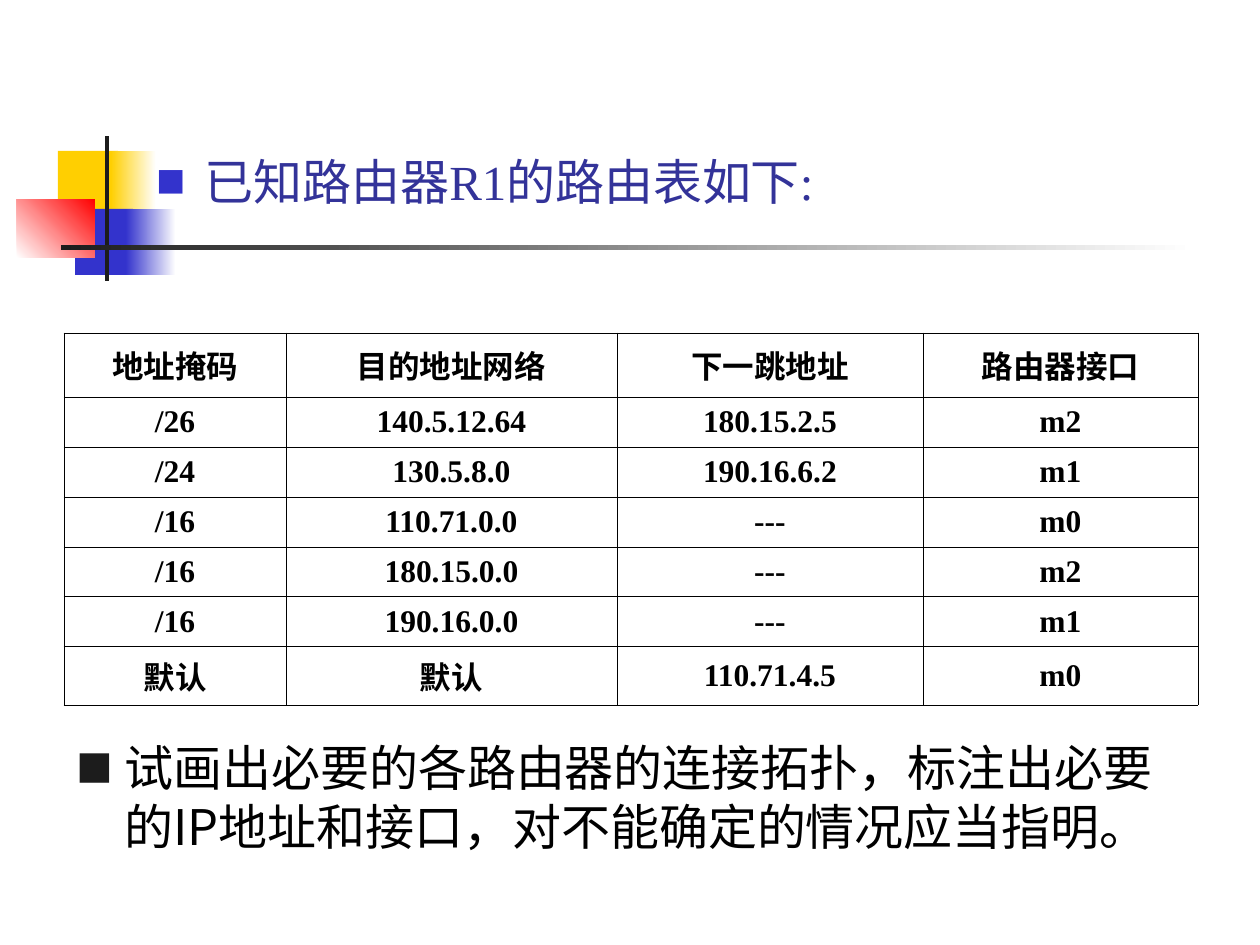
from lxml import etree
from pptx import Presentation
from pptx.dml.color import RGBColor
from pptx.enum import shapes, text
from pptx.oxml import parse_xml
from pptx.oxml.ns import nsdecls, qn
from pptx.util import Emu, Pt

PX = 914400 / 126
COLORS = {
    "yellow": "FFCF01", "blue": "3333CC", "red": "FF0000", "dark": "1C1C1C",
    "white": "FFFFFF", "navy": "333399", "black": "000000",
}


def px(*lengths):
    return [Emu(round(length * PX)) for length in lengths]


def write_bullet(shape, frame, words, bullet, size, font):
    """Place a placeholder and fill it with one paragraph under a square bullet."""
    shape.left, shape.top, shape.width, shape.height = px(*frame)
    box = shape.text_frame
    box.word_wrap = True
    box.auto_size = text.MSO_AUTO_SIZE.NONE
    box.vertical_anchor = text.MSO_ANCHOR.TOP
    para = box.paragraphs[0]
    para.alignment = text.PP_ALIGN.LEFT
    para.space_before = Pt(0)
    indent = px(48)[0]
    props = para._p.get_or_add_pPr()
    props.set("marL", str(indent))
    props.set("indent", str(-indent))
    for xml in (
        f'<a:buClr {nsdecls("a")}><a:srgbClr val="{COLORS[bullet]}"/></a:buClr>',
        f'<a:buSzPct {nsdecls("a")} val="{size * 1000}"/>',
        f'<a:buFont {nsdecls("a")} typeface="Noto Sans CJK SC"/>',
        f'<a:buChar {nsdecls("a")} char="■"/>',
    ):
        props.append(parse_xml(xml))
    span = para.add_run()
    span.text = words
    for name, value in font.items():
        if name == "color":
            span.font.color.rgb = RGBColor.from_string(COLORS[value])
        else:
            setattr(span.font, name, value)
    east_asian = etree.SubElement(span._r.get_or_add_rPr(), qn("a:ea"))
    east_asian.set("typeface", "Noto Sans CJK SC")


deck = Presentation()
deck.slide_width, deck.slide_height = px(1260, 945)
page = deck.slides.add_slide(deck.slide_layouts[1])

# Corner ornament: frame, colour at the start, colour at the end, angle
ornament = [
    ((58, 151, 60, 66), "yellow", None, 0),
    ((111, 151, 45, 66), "yellow", "white", 0),
    ((75, 209, 58, 66), "blue", None, 0),
    ((126, 209, 50, 66), "blue", "white", 0),
    ((17, 199, 78, 59), "white", "red", 45),
    ((105, 136, 4, 145), "dark", None, 0),
    ((61, 245, 1134, 5), "dark", "white", 0),
]
for frame, start, end, angle in ornament:
    block = page.shapes.add_shape(shapes.MSO_SHAPE.RECTANGLE, *px(*frame))
    block.shadow.inherit = False
    block.line.fill.background()
    if end is None:
        block.fill.solid()
        block.fill.fore_color.rgb = RGBColor.from_string(COLORS[start])
    else:
        block.fill.gradient()
        block.fill.gradient_angle = angle
        for stop, color, position in zip(block.fill.gradient_stops, (start, end), (0, 1)):
            stop.color.rgb = RGBColor.from_string(COLORS[color])
            stop.position = position

write_bullet(
    page.shapes.title, (144, 145, 1134, 100), "已知路由器R1的路由表如下:", "blue", 60,
    {"size": Pt(28), "name": "Times New Roman", "color": "navy"},
)
write_bullet(
    page.placeholders[1], (64, 731, 1132, 159),
    "试画出必要的各路由器的连接拓扑，标注出必要的IP地址和接口，对不能确定的情况应当指明。",
    "dark", 75, {"size": Pt(28), "name": "Noto Sans CJK SC", "color": "black"},
)

# Routing table
routes = [
    ("地址掩码", "目的地址网络", "下一跳地址", "路由器接口"),
    ("/26", "140.5.12.64", "180.15.2.5", "m2"),
    ("/24", "130.5.8.0", "190.16.6.2", "m1"),
    ("/16", "110.71.0.0", "---", "m0"),
    ("/16", "180.15.0.0", "---", "m2"),
    ("/16", "190.16.0.0", "---", "m1"),
    ("默认", "默认", "110.71.4.5", "m0"),
]
widths = px(222, 331, 306, 275)
heights = px(64, *[50] * 5, 58)
cell_font = {"size": Pt(18), "name": "Times New Roman", "bold": True}

table = page.shapes.add_table(
    len(routes), len(widths), *px(64, 333), sum(widths), sum(heights)
).table
table.first_row = table.horz_banding = False
for column, width in zip(table.columns, widths):
    column.width = width
for row, height, route in zip(table.rows, heights, routes):
    row.height = height
    for cell, words in zip(row.cells, route):
        cell.vertical_anchor = text.MSO_ANCHOR.MIDDLE
        for side in "LRTB":
            cell._tc.get_or_add_tcPr().append(parse_xml(
                f'<a:ln{side} {nsdecls("a")} w="{Pt(0.45)}"><a:solidFill>'
                f'<a:srgbClr val="{COLORS["black"]}"/></a:solidFill></a:ln{side}>'
            ))
        cell.fill.background()
        para = cell.text_frame.paragraphs[0]
        para.alignment = text.PP_ALIGN.CENTER
        span = para.add_run()
        span.text = words
        for name, value in cell_font.items():
            setattr(span.font, name, value)
        span.font.color.rgb = RGBColor.from_string(COLORS["black"])

deck.save("out.pptx")
